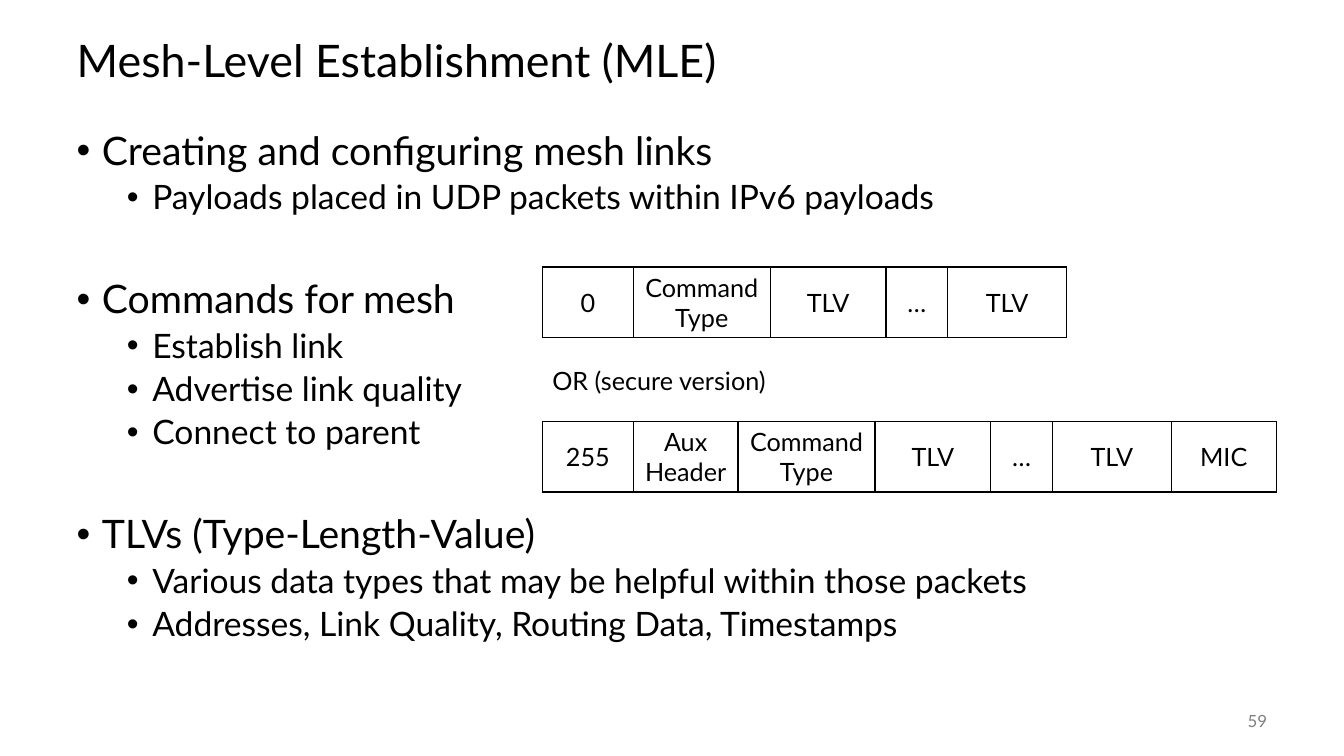
from dataclasses import dataclass

import pptx
import pptx.dml.color
import pptx.enum.text
import pptx.oxml
import pptx.oxml.ns
import pptx.util

Cm = pptx.util.Cm
Pt = pptx.util.Pt
ALIGN = pptx.enum.text.PP_ALIGN
ANCHOR = pptx.enum.text.MSO_ANCHOR


@dataclass(frozen=True)
class Theme:
    font: str = "Lato"
    ink: str = "000000"
    muted: str = "808080"
    title: int = 32
    topic: int = 28
    detail: int = 24
    packet: int = 18
    page: int = 12


THEME = Theme()
LEFT = 1.68
CONTENT_WIDTH = 30.48
PACKET_LEFT = 13.67
PACKET_HEIGHT = 1.78

ZERO = ("0", 2.29)
SECURE = ("255", 2.29)
AUX_HEADER = ("Aux Header", 2.64)
COMMAND = ("Command Type", 3.45)
FIRST_TLV = ("TLV", 2.92)
MORE = ("…", 1.55)
LAST_TLV = ("TLV", 3.0)
MIC = ("MIC", 2.64)

TOPICS = [
    ("Creating and configuring mesh links",
     ["Payloads placed in UDP packets within IPv6 payloads"]),
    ("Commands for mesh",
     ["Establish link", "Advertise link quality", "Connect to parent"]),
    ("TLVs (Type-Length-Value)",
     ["Various data types that may be helpful within those packets",
      "Addresses, Link Quality, Routing Data, Timestamps"]),
]


def format_paragraph(paragraph, size, color=THEME.ink, align=ALIGN.LEFT):
    paragraph.alignment = align
    for run in paragraph.runs:
        run.font.name = THEME.font
        run.font.size = Pt(size)
        run.font.color.rgb = pptx.dml.color.RGBColor.from_string(color)


def add_title(slide, text):
    title = slide.shapes.title
    title.left, title.top = Cm(LEFT), Cm(0.64)
    title.width, title.height = Cm(CONTENT_WIDTH), Cm(1.9)
    frame = title.text_frame
    frame.text = text
    frame.auto_size = pptx.enum.text.MSO_AUTO_SIZE.NONE
    frame.vertical_anchor = ANCHOR.MIDDLE
    frame.paragraphs[0].line_spacing = 0.9
    format_paragraph(frame.paragraphs[0], THEME.title)


def add_text_frame(slide, left, top, width, height):
    frame = slide.shapes.add_textbox(Cm(left), Cm(top), Cm(width), Cm(height)).text_frame
    frame.word_wrap = True
    return frame


def add_label(slide, text, left, top, width, size, color=THEME.ink,
              align=ALIGN.LEFT, anchor=ANCHOR.TOP):
    frame = add_text_frame(slide, left, top, width, 1.02)
    frame.text = text
    frame.vertical_anchor = anchor
    format_paragraph(frame.paragraphs[0], size, color, align)


def format_bullet(paragraph, level, size, space_before):
    paragraph.level = level
    properties = paragraph._p.get_or_add_pPr()
    properties.set("marL", str(Cm(0.64 + 1.27 * level)))
    properties.set("indent", str(-Cm(0.64)))
    for tag, key, value in (("buFont", "typeface", "Arial"), ("buChar", "char", "•")):
        pptx.oxml.xmlchemy.OxmlElement
        bullet = pptx.oxml.parse_xml(
            f'<a:{tag} {pptx.oxml.ns.nsdecls("a")} {key}="{value}"/>')
        properties.append(bullet)
    paragraph.line_spacing = 0.9
    paragraph.space_before = Pt(space_before)
    format_paragraph(paragraph, size)


def add_topics(slide, topics):
    frame = add_text_frame(slide, LEFT, 3.18, CONTENT_WIDTH, 13.97)
    for index, (topic, details) in enumerate(topics):
        heading = frame.add_paragraph() if index else frame.paragraphs[0]
        heading.text = topic
        format_bullet(heading, 0, THEME.topic, 45 if index else 0)
        for detail in details:
            point = frame.add_paragraph()
            point.text = detail
            format_bullet(point, 1, THEME.detail, 5)


def add_cell_borders(cell):
    properties = cell._tc.get_or_add_tcPr()
    for side in ("lnL", "lnR", "lnT", "lnB"):
        properties.append(pptx.oxml.parse_xml(
            f'<a:{side} {pptx.oxml.ns.nsdecls("a")} w="{Pt(1)}"><a:solidFill>'
            f'<a:srgbClr val="{THEME.ink}"/></a:solidFill></a:{side}>'))


def add_packet(slide, top, fields):
    total = sum(width for _, width in fields)
    packet = slide.shapes.add_table(
        1, len(fields), Cm(PACKET_LEFT), Cm(top), Cm(total), Cm(PACKET_HEIGHT)).table
    packet.first_row = False
    packet.horz_banding = False
    for index, (text, width) in enumerate(fields):
        packet.columns[index].width = Cm(width)
        cell = packet.cell(0, index)
        cell.text_frame.text = text
        cell.vertical_anchor = ANCHOR.MIDDLE
        add_cell_borders(cell)
        cell.fill.background()
        format_paragraph(cell.text_frame.paragraphs[0], THEME.packet, align=ALIGN.CENTER)


def main():
    deck = pptx.Presentation()
    deck.slide_width, deck.slide_height = Cm(33.87), Cm(19.05)
    slide = deck.slides.add_slide(deck.slide_layouts.get_by_name("Title Only"))
    add_title(slide, "Mesh-Level Establishment (MLE)")
    add_topics(slide, TOPICS)
    add_packet(slide, 6.73, [ZERO, COMMAND, FIRST_TLV, MORE, LAST_TLV])
    add_label(slide, "OR (secure version)", PACKET_LEFT, 9.09, 6.1, THEME.packet)
    add_packet(slide, 10.62,
               [SECURE, AUX_HEADER, COMMAND, FIRST_TLV, MORE, LAST_TLV, MIC])
    add_label(slide, "59", 29.64, 17.65, 2.54, THEME.page, THEME.muted,
              ALIGN.RIGHT, ANCHOR.MIDDLE)
    deck.save("out.pptx")


if __name__ == "__main__":
    main()
